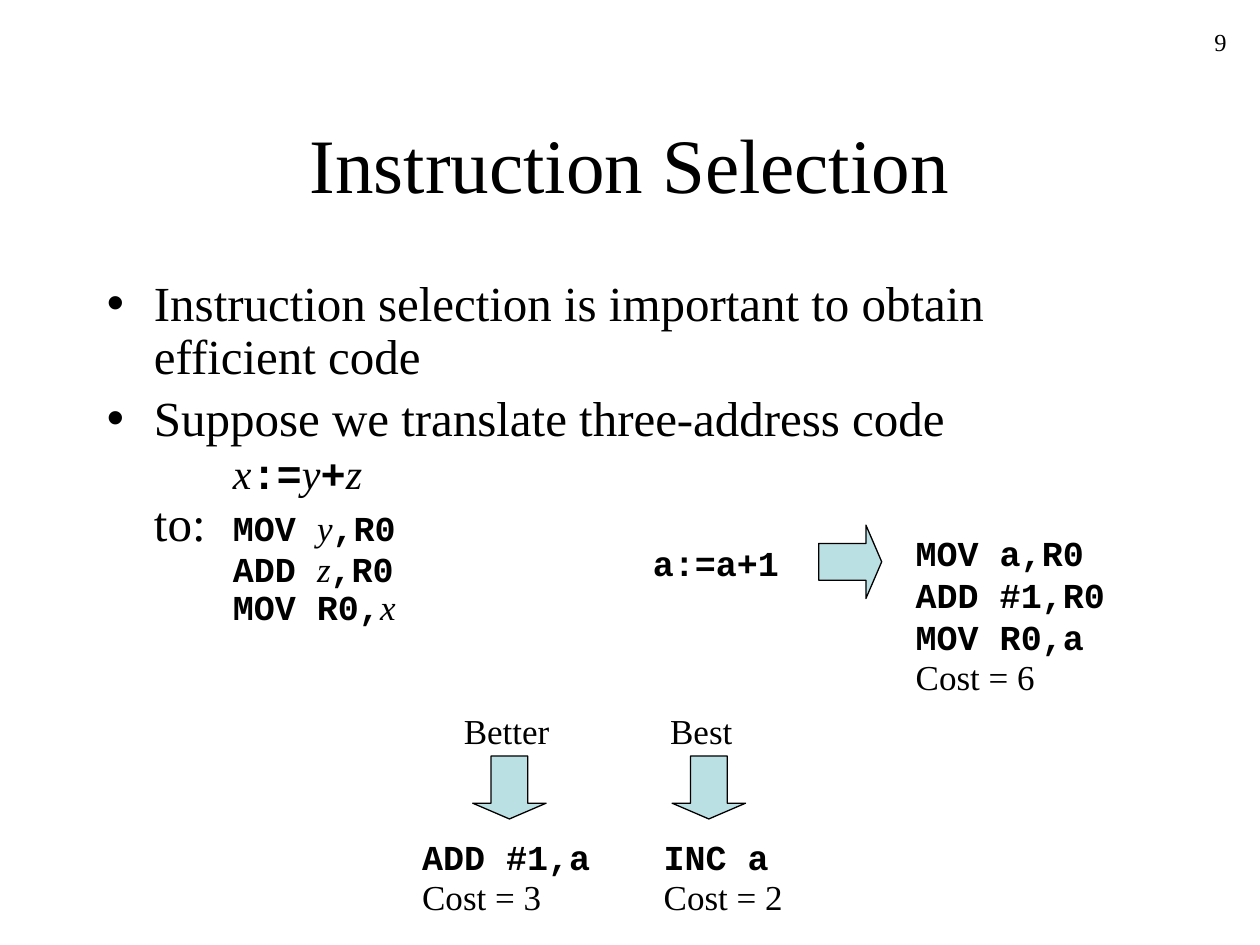
from dataclasses import dataclass

from lxml.etree import SubElement
from pptx import Presentation
from pptx.dml.color import RGBColor
from pptx.enum.shapes import MSO_SHAPE
from pptx.enum.text import MSO_ANCHOR, MSO_AUTO_SIZE, PP_ALIGN
from pptx.oxml.ns import qn
from pptx.slide import Slide
from pptx.util import Cm, Pt

COLORS = {"text": "000000", "arrow": "BBE0E3", "outline": "000000"}
SERIF = "Times New Roman"
CODE = "Courier New"


@dataclass
class SlideBuilder:
    """Holds the style and the current slide, and adds its elements."""

    slide: Slide
    serif: str = SERIF
    code: str = CODE
    size: int = 20

    def color(self, name):
        return RGBColor.from_string(COLORS[name])

    def place(self, shape, left, top, width, height):
        shape.left, shape.top = Cm(left), Cm(top)
        shape.width, shape.height = Cm(width), Cm(height)

    def style(self, font, size, name=None, bold=False, italic=False):
        font.size, font.name = Pt(size), name or self.serif
        font.bold, font.italic = bold, italic
        font.color.rgb = self.color("text")

    def title(self, text, *box):
        shape = self.slide.shapes.title
        self.place(shape, *box)
        frame = shape.text_frame
        frame.auto_size = MSO_AUTO_SIZE.NONE
        frame.vertical_anchor = MSO_ANCHOR.MIDDLE
        paragraph = frame.paragraphs[0]
        paragraph.text = text
        paragraph.alignment = PP_ALIGN.CENTER
        self.style(paragraph.font, 44)

    def bullets(self, items, *box):
        shape = self.slide.placeholders[1]
        self.place(shape, *box)
        frame = shape.text_frame
        frame.auto_size = MSO_AUTO_SIZE.NONE
        for index, (space, lines) in enumerate(items):
            paragraph = frame.paragraphs[0] if index == 0 else frame.add_paragraph()
            paragraph.line_spacing, paragraph.space_before = 0.9, Pt(space)
            self.indent(paragraph)
            for number, line in enumerate(lines):
                if number:
                    paragraph.add_line_break()
                for text, size, *look in line:
                    run = paragraph.add_run()
                    run.text = text
                    is_code = "code" in look
                    self.style(run.font, size, self.code if is_code else self.serif,
                               is_code, "variable" in look)

    def indent(self, paragraph):
        properties = paragraph._p.get_or_add_pPr()
        properties.set("marL", str(Cm(0.95)))
        properties.set("indent", str(-Cm(0.95)))
        tabs = SubElement(properties, qn("a:tabLst"))
        SubElement(tabs, qn("a:tab"), pos=str(Cm(2.54)), algn="l")

    def label(self, text, left, top, width, height=1.11, code=False):
        shape = self.slide.shapes.add_textbox(Cm(left), Cm(top), Cm(width), Cm(height))
        frame = shape.text_frame
        frame.word_wrap = False
        frame.auto_size = MSO_AUTO_SIZE.SHAPE_TO_FIT_TEXT
        paragraph = frame.paragraphs[0]
        paragraph.text = text
        self.style(paragraph.font, self.size, self.code if code else self.serif, code)

    def page_number(self, text, *box):
        shape = self.slide.shapes.add_textbox(*map(Cm, box))
        shape.text_frame.word_wrap = True
        paragraph = shape.text_frame.paragraphs[0]
        paragraph.text = text
        paragraph.alignment = PP_ALIGN.RIGHT
        self.style(paragraph.font, 14)

    def arrow(self, left, top, rotation=0):
        shape = self.slide.shapes.add_shape(
            MSO_SHAPE.DOWN_ARROW, Cm(left), Cm(top), Cm(1.48), Cm(1.27))
        shape.adjustments[0], shape.adjustments[1] = 0.5, 0.25
        shape.rotation = rotation
        shape.shadow.inherit = False
        shape.fill.solid()
        shape.fill.fore_color.rgb = self.color("arrow")
        shape.line.color.rgb = self.color("outline")
        shape.line.width = Pt(0.75)


def main():
    presentation = Presentation()
    presentation.slide_width, presentation.slide_height = Cm(25.4), Cm(19.05)
    slide = presentation.slides.add_slide(presentation.slide_layouts[1])
    builder = SlideBuilder(slide)

    builder.title("Instruction Selection", 1.9, 1.69, 21.59, 3.17)
    builder.bullets([
        (7, [[("Instruction selection is important to obtain efficient code", 28)]]),
        (5, [
            [("Suppose we translate three-address code", 28)],
            [("\t", 28), ("x", 24, "variable"), (":=", 24, "code"),
             ("y", 24, "variable"), ("+", 24, "code"), ("z", 24, "variable")],
            [("to:\t", 28), ("MOV ", 20, "code"), ("y", 20, "variable"),
             (",R0", 20, "code")],
            [("\tADD ", 20, "code"), ("z", 20, "variable"), (",R0", 20, "code")],
            [("\tMOV R0,", 20, "code"), ("x", 20, "variable")],
        ]),
    ], 1.9, 5.5, 21.59, 11.43)

    builder.label("a:=a+1", 12.91, 10.8, 3.2, code=True)
    builder.arrow(16.4, 10.69, rotation=270)
    builder.label("MOV a,R0\nADD #1,R0\nMOV R0,a", 18.21, 10.58, 4.5, 2.79, code=True)
    builder.label("Cost = 6", 18.21, 13.08, 3.1)

    choices = [
        ("Better", 9.1, 2.4, 9.53, "ADD #1,a", 8.26, 4.1, "Cost = 3"),
        ("Best", 13.26, 2, 13.55, "INC a", 13.13, 2.9, "Cost = 2"),
    ]
    for name, name_left, name_width, arrow_left, code, left, width, cost in choices:
        builder.label(name, name_left, 14.18, name_width)
        builder.arrow(arrow_left, 15.24)
        builder.label(code, left, 16.72, width, code=True)
        builder.label(cost, left, 17.53, 3.1)

    builder.page_number("9", 19.69, 0.42, 5.29, 1.27)
    presentation.save("out.pptx")


if __name__ == "__main__":
    main()
